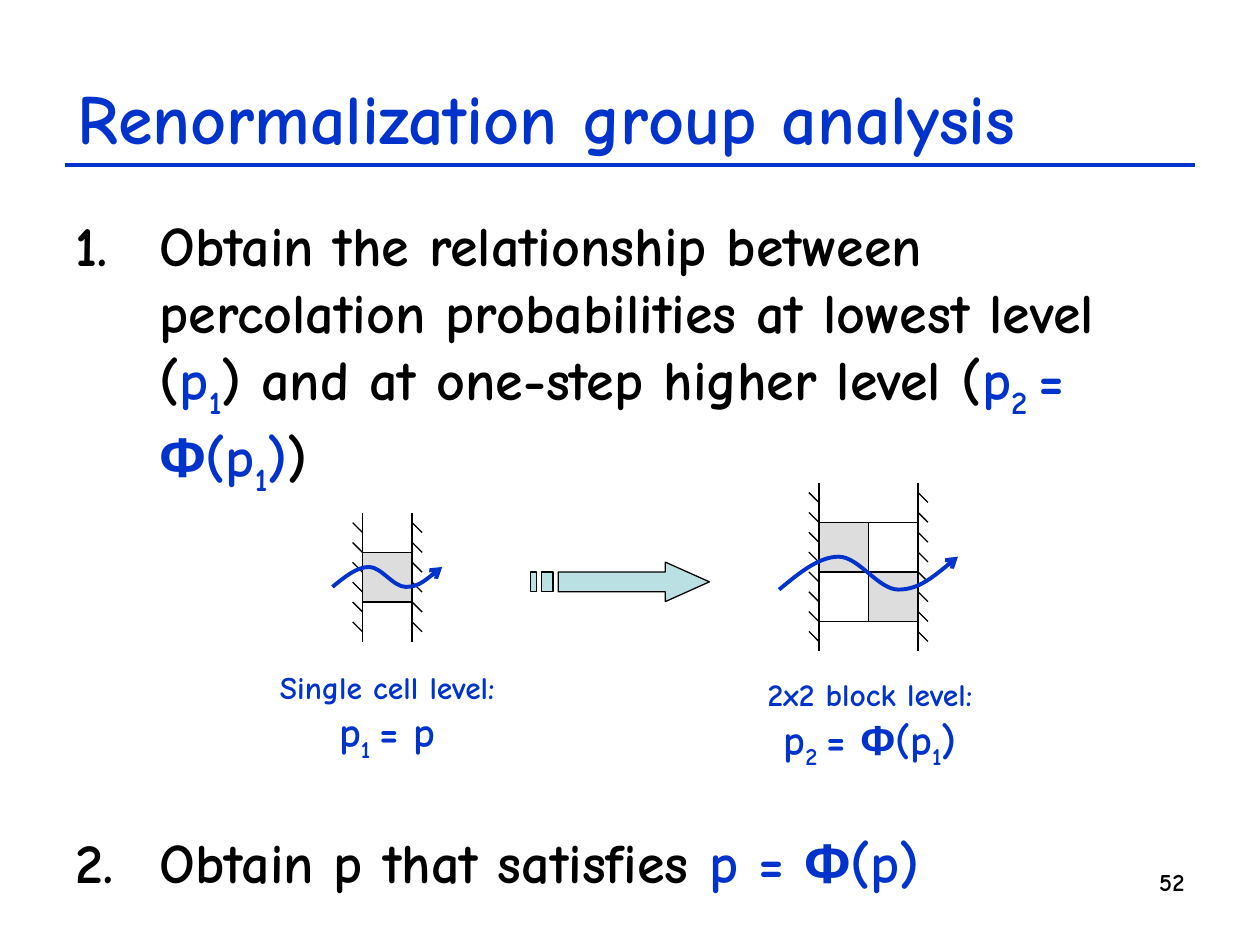
from lxml import etree
from pptx import Presentation
from pptx.dml.color import RGBColor
from pptx.enum import shapes, text
from pptx.oxml.ns import qn
from pptx.util import Pt

BLUE, BLACK, GREY, WHITE, TEAL = "0033CC", "000000", "DDDDDD", "FFFFFF", "BBE0E3"
FONT, GREEK_FONT = "Comic Neue", "Arial"

# Runs are (text, style letters): b = blue, s = subscript, g = Greek font
TITLE = [("Renormalization group analysis", "b")]
PHI_OF_P1 = [("= ", "b"), ("Φ", "bg"), ("(p", "b"), ("1", "bs"), (")", "b")]
STEPS = [
    ([("Obtain the relationship between percolation probabilities at lowest level (", ""),
      ("p", "b"), ("1", "bs"), (") and at one-step higher level (", ""),
      ("p", "b"), ("2 ", "bs"), *PHI_OF_P1, (")", "")], 0),
    ([("Obtain p that satisfies ", ""), ("p = ", "b"), ("Φ", "bg"), ("(p)", "b")], 188.7),
]
CELL = 28.35
TICK = CELL / 5
CHANNELS = [
    {"left": 207.2, "top": 293, "cells": [[GREY]], "ticks": 6,
     "wave": (190, 324, 62.7, 11.4), "label_box": (152.6, 378, 137.5, 62),
     "label": "Single cell level:", "formula": [("p", "b"), ("1 ", "bs"), ("= p", "b")]},
    {"left": 467.9, "top": 275.8, "cells": [[GREY, WHITE], [WHITE, GREY]], "ticks": 8,
     "wave": (445.2, 318.1, 102.2, 18.8), "label_box": (431.3, 382.3, 131.8, 62),
     "label": "2x2 block level:", "formula": [("p", "b"), ("2 ", "bs"), *PHI_OF_P1]},
]
WAVE_HEIGHTS = [1, 0.5, 0, 0, 0, 1, 1, 1, 0.5, 0]  # start, then three Bezier triples
ARROW_PARTS = [
    [(380.2, 321.2), (380.2, 326.9), (319, 326.9), (319, 338.2), (380.2, 338.2),
     (380.2, 343.8), (405.4, 332.5)],
    [(309.6, 326.9), (309.6, 338.2), (316, 338.2), (316, 326.9)],
    [(303.3, 326.9), (303.3, 338.2), (306.6, 338.2), (306.6, 326.9)],
]


def color(hex_string):
    return RGBColor.from_string(hex_string)


def write(paragraph, runs, size, align=text.PP_ALIGN.LEFT, before=0):
    paragraph.alignment = align
    paragraph.space_before = Pt(before)
    for content, style in runs:
        run = paragraph.add_run()
        run.text = content
        run.font.size, run.font.bold = Pt(size), True
        run.font.name = GREEK_FONT if "g" in style else FONT
        run.font.color.rgb = color(BLUE if "b" in style else BLACK)
        if "s" in style:
            run.font._element.set("baseline", "-25000")


def place(shape, left, top, width, height):
    shape.left, shape.top, shape.width, shape.height = map(Pt, (left, top, width, height))
    shape.text_frame.auto_size = text.MSO_AUTO_SIZE.NONE
    return shape.text_frame


def number(paragraph, indent):
    properties = paragraph._p.get_or_add_pPr()
    properties.set("marL", str(Pt(indent)))
    properties.set("indent", str(-Pt(indent)))
    bullet_color = etree.SubElement(properties, qn("a:buClr"))
    etree.SubElement(bullet_color, qn("a:srgbClr"), val=BLACK)
    etree.SubElement(properties, qn("a:buFont"), typeface=FONT)
    etree.SubElement(properties, qn("a:buAutoNum"), type="arabicPeriod")


def add_text(slide, box, lines, align, wrap=True):
    frame = place(slide.shapes.add_textbox(0, 0, 0, 0), *box)
    frame.word_wrap = wrap
    for index, (runs, size) in enumerate(lines):
        paragraph = frame.add_paragraph() if index else frame.paragraphs[0]
        write(paragraph, runs, size, align)


def add_line(slide, x1, y1, x2, y2, width, line_color=BLACK):
    line = slide.shapes.add_connector(shapes.MSO_CONNECTOR.STRAIGHT, *map(Pt, (x1, y1, x2, y2)))
    line.line.width = Pt(width)
    line.line.color.rgb = color(line_color)
    etree.SubElement(line._element.spPr, qn("a:effectLst"))


def paint(shape, fill, line_color, width):
    shape.shadow.inherit = False
    if fill:
        shape.fill.solid()
        shape.fill.fore_color.rgb = color(fill)
    else:
        shape.fill.background()
    shape.line.color.rgb = color(line_color)
    shape.line.width = Pt(width)


def add_outline(slide, contours, closed):
    builder = None
    for first, *others in contours:
        if builder is None:
            builder = slide.shapes.build_freeform(Pt(first[0]), Pt(first[1]))
        else:
            builder.move_to(Pt(first[0]), Pt(first[1]))
        builder.add_line_segments([(Pt(x), Pt(y)) for x, y in others], close=closed)
    return builder.convert_to_shape()


def add_wave(slide, left, top, width, height):
    """Draw a cubic curve with an open arrowhead at its right end."""
    points = [(left + width * i / 9, top + height * y) for i, y in enumerate(WAVE_HEIGHTS)]
    wave = add_outline(slide, [points], closed=False)
    paint(wave, None, BLUE, 2.25)
    segments = list(wave._element.iter(qn("a:lnTo")))
    outline = segments[0].getparent()
    for start in range(0, len(segments), 3):
        curve = etree.SubElement(outline, qn("a:cubicBezTo"))
        for segment in segments[start:start + 3]:
            curve.append(segment[0])
            outline.remove(segment)
    etree.SubElement(wave.line._get_or_add_ln(), qn("a:tailEnd"), type="arrow")


def add_channel(slide, channel):
    left, top, ticks = channel["left"], channel["top"], channel["ticks"]
    for row, fills in enumerate(channel["cells"]):
        for column, fill in enumerate(fills):
            cell = slide.shapes.add_shape(
                shapes.MSO_SHAPE.RECTANGLE, Pt(left + column * CELL),
                Pt(top + 4 * TICK + row * CELL), Pt(CELL), Pt(CELL))
            paint(cell, fill, BLACK, 0.75)
    right = left + CELL * len(channel["cells"][0])
    for wall, tick_left in ((left, left - TICK), (right, right)):
        add_line(slide, wall, top, wall, top + (2 * ticks + 1) * TICK, 1)
        for index in range(ticks):
            y = top + (2 * index + 1) * TICK
            add_line(slide, tick_left, y, tick_left + TICK, y + TICK, 0.75)
    add_wave(slide, *channel["wave"])
    add_text(slide, channel["label_box"],
             [([(channel["label"], "b")], 18), (channel["formula"], 24)],
             text.PP_ALIGN.CENTER, wrap=False)


def main():
    presentation = Presentation()
    presentation.slide_width, presentation.slide_height = Pt(720), Pt(540)
    slide = presentation.slides.add_slide(presentation.slide_layouts[1])
    add_line(slide, 37, 94.2, 683, 94.2, 2.25, BLUE)

    title = place(slide.shapes.title, 37, 21.6, 647, 90)
    title.vertical_anchor = text.MSO_ANCHOR.MIDDLE
    write(title.paragraphs[0], TITLE, 40)

    body = place(slide.placeholders[1], 36, 116.6, 648, 408)
    for index, (runs, before) in enumerate(STEPS):
        paragraph = body.add_paragraph() if index else body.paragraphs[0]
        number(paragraph, 48)
        write(paragraph, runs, 32, before=before)

    for channel in CHANNELS:
        add_channel(slide, channel)
    paint(add_outline(slide, ARROW_PARTS, closed=True), TEAL, BLACK, 0.75)
    add_text(slide, (615, 491.8, 69, 37.4), [([("52", "")], 14)], text.PP_ALIGN.RIGHT)
    presentation.save("out.pptx")


if __name__ == "__main__":
    main()
